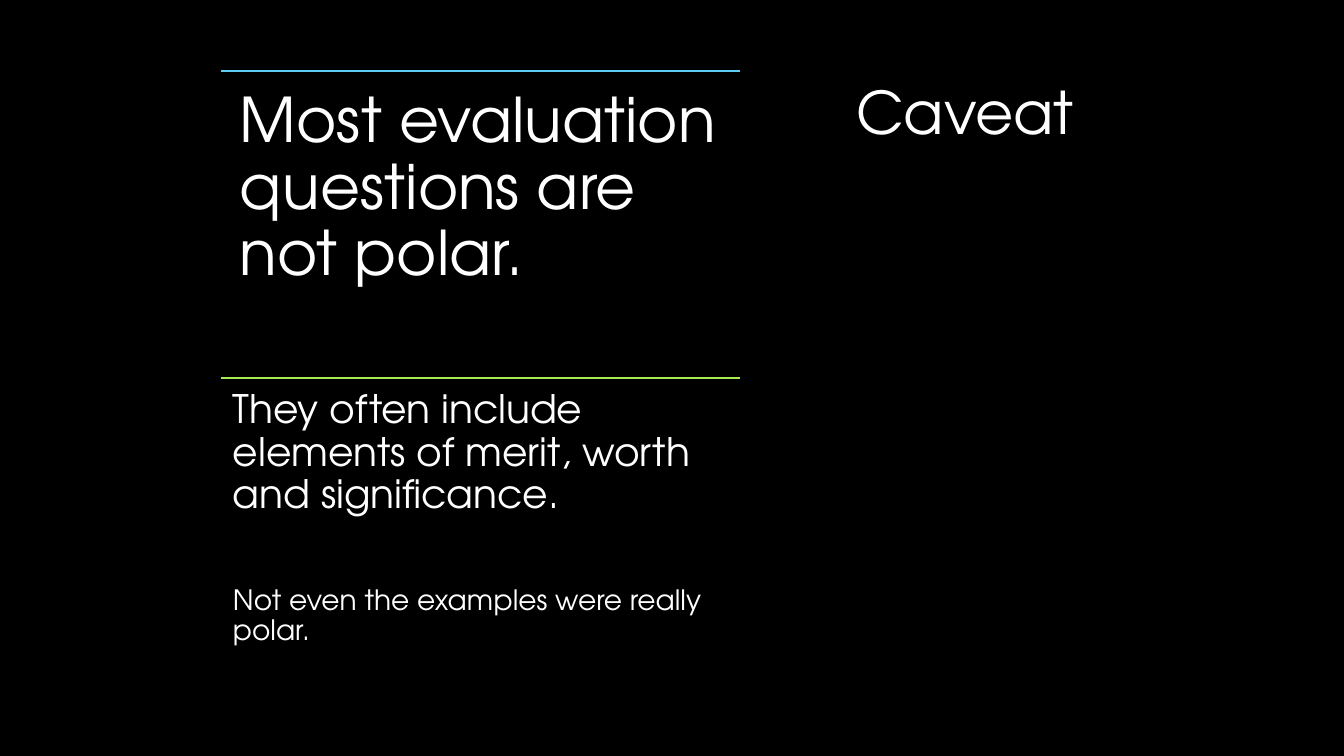
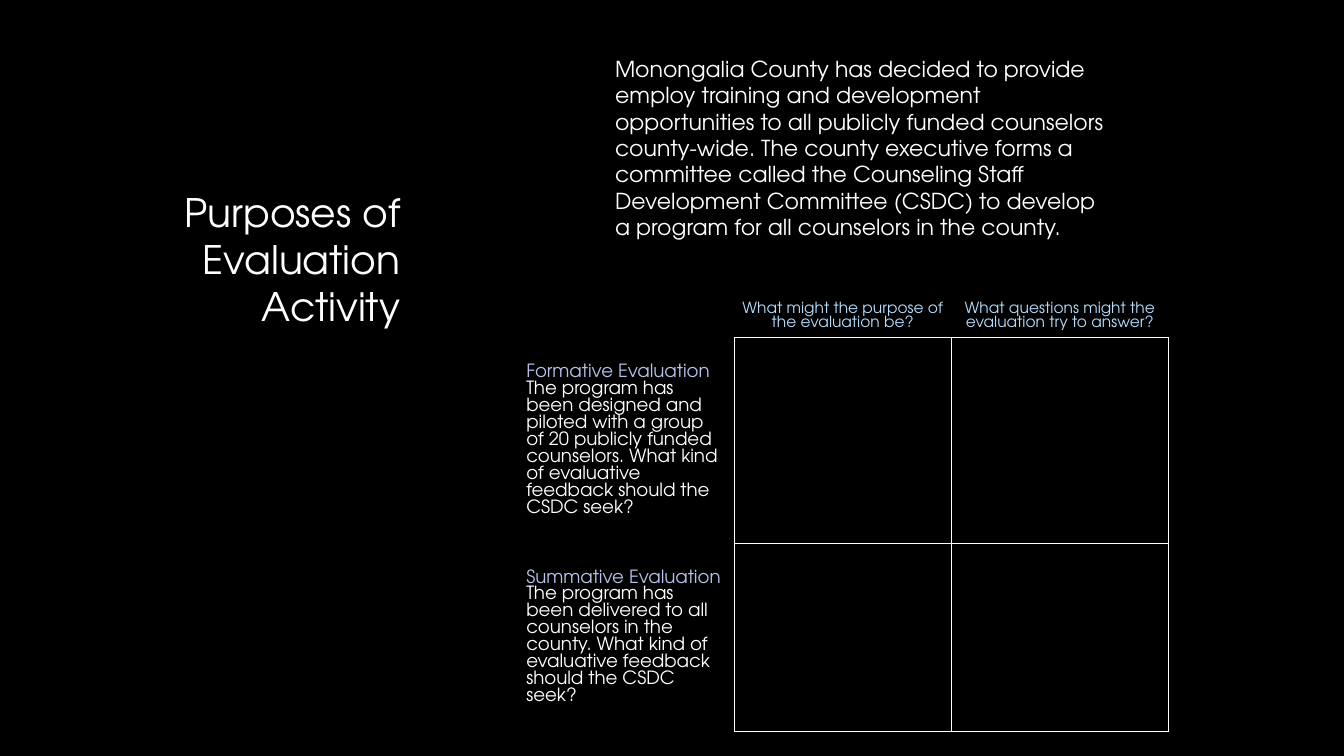
import pptx
import pptx.util
import pptx.dml.color
import pptx.enum.shapes
import pptx.enum.text
import pptx.oxml
import pptx.oxml.ns
import lxml.etree

Inches = pptx.util.Inches
Pt = pptx.util.Pt
RGBColor = pptx.dml.color.RGBColor
ALIGN = pptx.enum.text.PP_ALIGN
ANCHOR = pptx.enum.text.MSO_ANCHOR

FONT = "TeX Gyre Adventor"
BLACK = RGBColor(0x00, 0x00, 0x00)
WHITE = RGBColor(0xFF, 0xFF, 0xFF)
BLUE = RGBColor(0x5E, 0xCC, 0xF3)
GREEN = RGBColor(0xA7, 0xEA, 0x52)
PALE_BLUE = RGBColor(0xB4, 0xDC, 0xFA)
LAVENDER = RGBColor(0xB8, 0xC2, 0xE9)

TITLE_ONLY, TITLE_AND_CONTENT = 5, 1
NO_STYLE = "{2D5ABB26-0587-4C30-8999-92F81FD0307C}"

POINTS = [
    (BLUE, 0.19, [("Most evaluation questions are not polar.", 44, 0)]),
    (GREEN, 0.12, [
        ("They often include elements of merit, worth and significance.", 28, 49.5),
        ("Not even the examples were really polar.", 20, 0),
    ]),
]
SCENARIO = (
    "Monongalia County has decided to provide employ training and development "
    "opportunities to all publicly funded counselors county-wide. The county "
    "executive forms a committee called the Counseling Staff Development "
    "Committee (CSDC) to develop a program for all counselors in the county."
)
QUESTIONS = [
    "What might the purpose of the evaluation be?",
    "What questions might the evaluation try to answer?",
]
EVALUATIONS = [
    ("Formative Evaluation",
     "The program has been designed and piloted with a group of 20 publicly "
     "funded counselors. What kind of evaluative feedback should the CSDC seek?"),
    ("Summative Evaluation",
     "The program has been delivered to all counselors in the county. What kind "
     "of evaluative feedback should the CSDC seek?"),
]


def write(frame, text, *, size, color=WHITE, align=ALIGN.LEFT, spacing=1.0,
          before=0, after=0):
    paragraph = frame.paragraphs[0]
    if paragraph.runs:
        paragraph = frame.add_paragraph()
    paragraph.alignment = align
    paragraph.line_spacing = spacing
    paragraph.space_before = Pt(before)
    paragraph.space_after = Pt(after)
    run = paragraph.add_run()
    run.text = text
    run.font.name = FONT
    run.font.size = Pt(size)
    run.font.color.rgb = color
    return paragraph


def fill_placeholder(holder, box, text, **style):
    holder.left, holder.top, holder.width, holder.height = map(Inches, box)
    frame = holder.text_frame
    frame.word_wrap = True
    frame.auto_size = pptx.enum.text.MSO_AUTO_SIZE.NONE
    frame.vertical_anchor = ANCHOR.TOP
    return write(frame, text, **style)


def add_rule(slide, left, top, width, color):
    rule = slide.shapes.add_connector(
        pptx.enum.shapes.MSO_CONNECTOR.STRAIGHT,
        Inches(left), Inches(top), Inches(left + width), Inches(top))
    rule.line.color.rgb = color
    rule.line.width = Pt(1.5)
    lxml.etree.SubElement(rule._element.spPr, pptx.oxml.ns.qn("a:effectLst"))


def add_points(slide, box):
    left, top, width, height = box
    row = height / len(POINTS)
    for index, (color, inset, lines) in enumerate(POINTS):
        y = top + index * row
        add_rule(slide, left, y, width, color)
        point = slide.shapes.add_textbox(*map(Inches, (left, y, width, row)))
        frame = point.text_frame
        frame.word_wrap = True
        frame.margin_left = frame.margin_right = Inches(inset)
        frame.margin_top = frame.margin_bottom = Inches(inset)
        for text, size, after in lines:
            write(frame, text, size=size, spacing=0.9, after=after)


def outline(cell, color):
    properties = cell._tc.get_or_add_tcPr()
    for side in "LRTB":
        properties.append(pptx.oxml.parse_xml(
            f'<a:ln{side} {pptx.oxml.ns.nsdecls("a")} w="12700"><a:solidFill>'
            f'<a:srgbClr val="{color}"/></a:solidFill></a:ln{side}>'))


def set_insets(cell, across, down):
    cell.margin_left = cell.margin_right = Inches(across)
    cell.margin_top = cell.margin_bottom = Inches(down)
    cell.vertical_anchor = ANCHOR.MIDDLE


def add_worksheet(slide, box, rows):
    left, top, width = box
    frame = slide.shapes.add_table(
        len(rows), 3, *map(Inches, (left, top, width, sum(rows))))
    grid = frame.table
    grid.first_row = grid.horz_banding = False
    grid._tbl.tblPr.find(pptx.oxml.ns.qn("a:tableStyleId")).text = NO_STYLE
    for column in grid.columns:
        column.width = Inches(width / 3)
    for row, height in zip(grid.rows, rows):
        row.height = Inches(height)

    for r in range(len(rows)):
        for c in range(3):
            cell = grid.cell(r, c)
            if r and c:
                outline(cell, WHITE)
            cell.fill.background()
    set_insets(grid.cell(0, 0), 0, 0)
    for c, question in enumerate(QUESTIONS, 1):
        header = grid.cell(0, c)
        set_insets(header, 0.03, 0.03)
        write(header.text_frame, question, size=11, color=PALE_BLUE,
              align=ALIGN.CENTER)
    for r, (name, prompt) in enumerate(EVALUATIONS, 1):
        label = grid.cell(r, 0)
        set_insets(label, 0.09, 0.05)
        write(label.text_frame, name, size=13, color=LAVENDER)
        write(label.text_frame, prompt, size=13)


def caveat_slide(deck):
    slide = deck.slides.add_slide(deck.slide_layouts[TITLE_ONLY])
    fill_placeholder(slide.shapes.title, (8.39, 0.7, 3.01, 6.02), "Caveat", size=42)
    add_points(slide, (2.19, 0.7, 5.15, 6.1))


def activity_slide(deck):
    slide = deck.slides.add_slide(deck.slide_layouts[TITLE_AND_CONTENT])
    fill_placeholder(slide.shapes.title, (0.57, 1.82, 3.5, 4.91),
                     "Purposes of Evaluation Activity", size=28, align=ALIGN.RIGHT)
    scenario = fill_placeholder(slide.placeholders[1], (6, 0.5, 5.16, 1.99),
                                SCENARIO, size=15.7, before=10)
    properties = scenario._p.get_or_add_pPr()
    properties.set("marL", "0")
    properties.set("indent", "0")
    lxml.etree.SubElement(properties, pptx.oxml.ns.qn("a:buNone"))
    add_worksheet(slide, (5.13, 2.93, 6.46), [0.42, 2.04, 1.87])


def main():
    deck = pptx.Presentation()
    deck.slide_width, deck.slide_height = Inches(13.33), Inches(7.5)
    backdrop = deck.slide_master.background.fill
    backdrop.solid()
    backdrop.fore_color.rgb = BLACK
    caveat_slide(deck)
    activity_slide(deck)
    deck.save("out.pptx")


if __name__ == "__main__":
    main()
